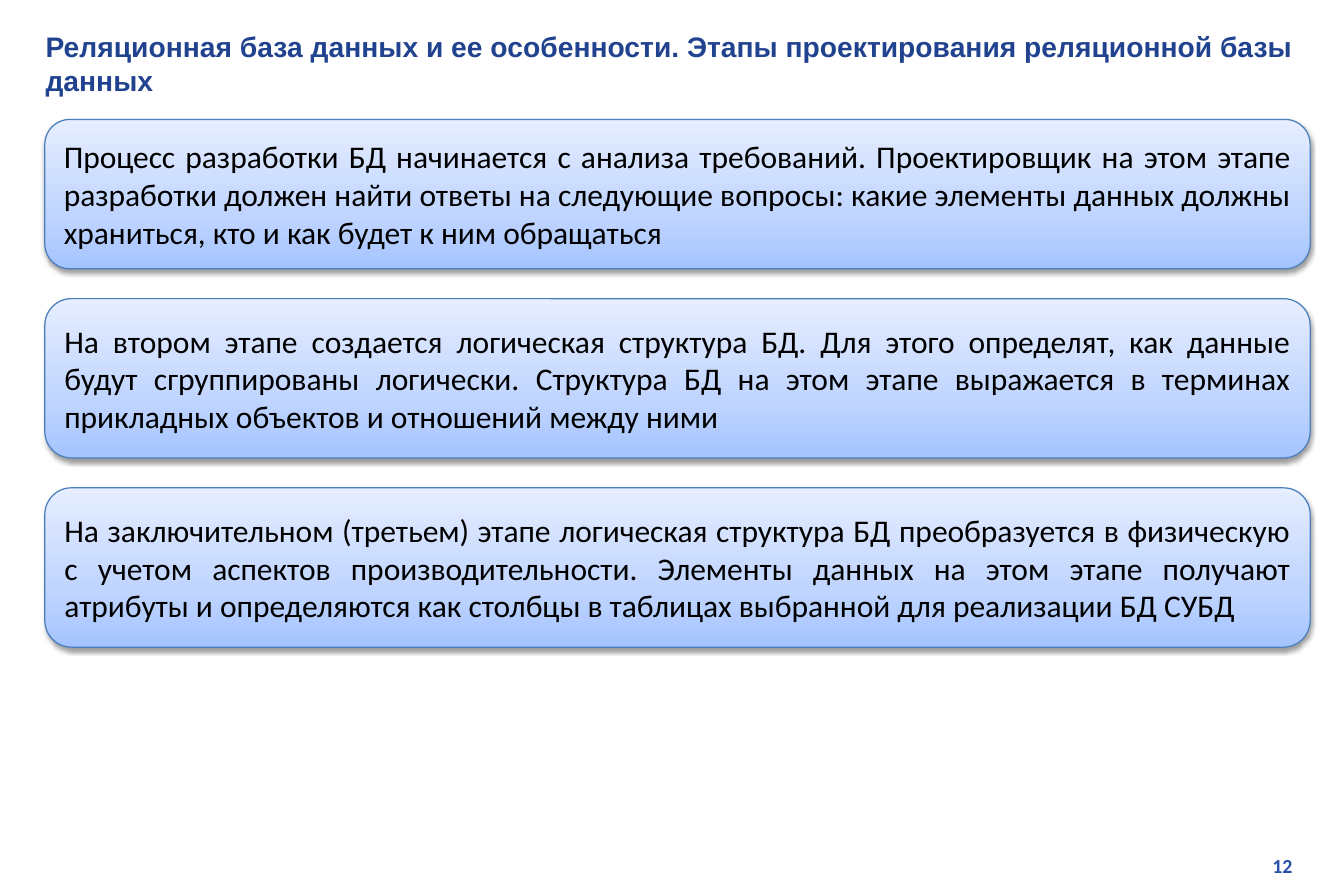
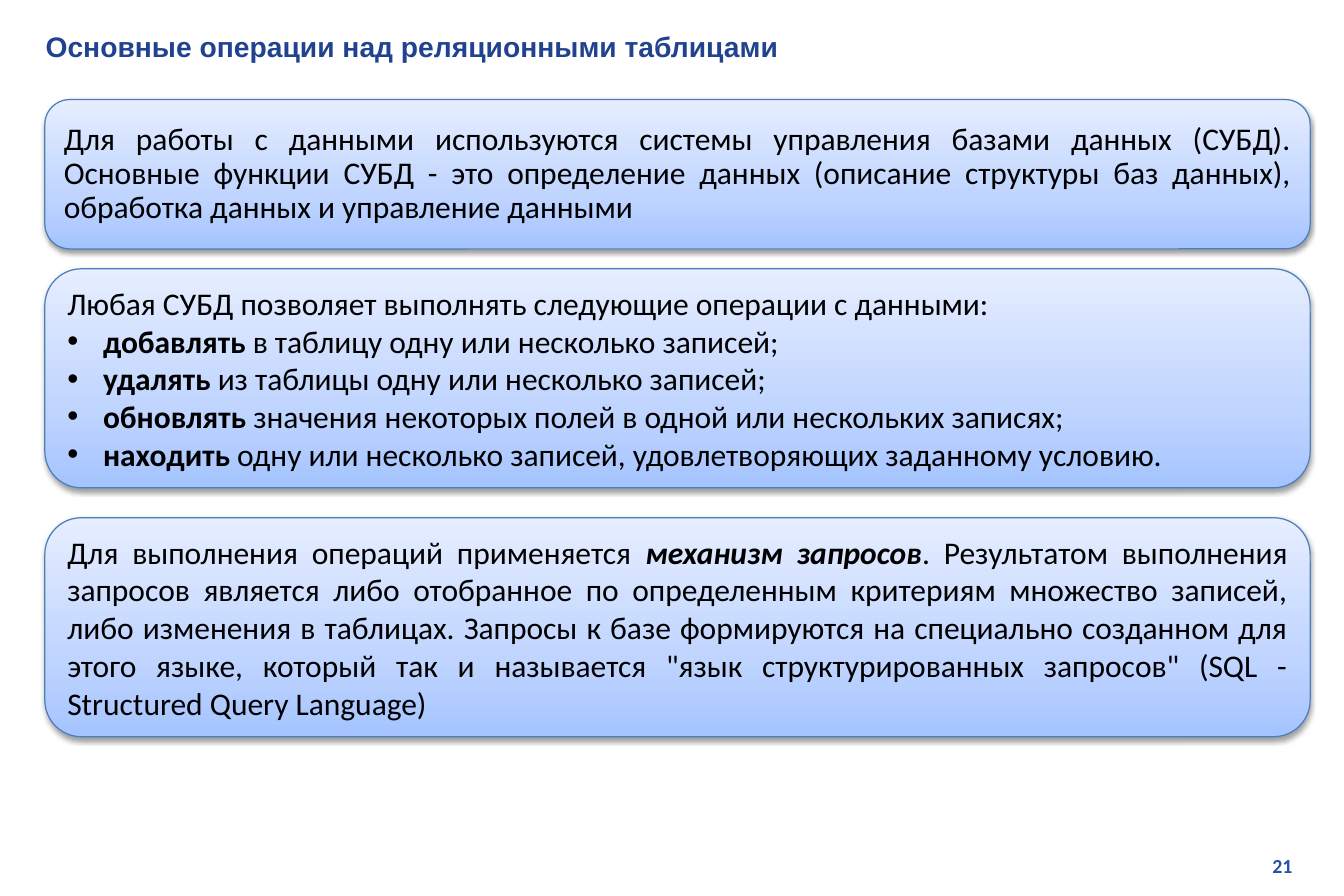
from pptx import Presentation
from pptx import util as u
from pptx.dml import color
from pptx.enum import shapes, text
from pptx.oxml import ns, xmlchemy
import copy

COLORS = {
    "title": "21438F",
    "number": "2750AB",
    "body": "000000",
    "outline": "4B7EBC",
    "shadow": "000000",
    "card_bottom": "A4C4FF",
    "card_middle": "BFD4FF",
    "card_top": "E6EEFF",
}
CARD_STOPS = [(0, "card_bottom"), (0.35, "card_middle"), (1, "card_top")]
JUSTIFY = text.PP_ALIGN.JUSTIFY
LEFT = text.PP_ALIGN.LEFT
RIGHT = text.PP_ALIGN.RIGHT


class Deck:
    SCALE = u.Inches(1) // 120
    CARD_LEFT, CARD_WIDTH = 45, 1271
    BULLET_INDENT = 36

    def __init__(self, width, height):
        self.presentation = Presentation()
        self.presentation.slide_width = self.px(width)
        self.presentation.slide_height = self.px(height)
        self.slide = None

    def px(self, length):
        return u.Emu(length * self.SCALE)

    def box(self, *lengths):
        return [self.px(length) for length in lengths]

    def rgb(self, name):
        return color.RGBColor.from_string(COLORS[name])

    def new_slide(self, title, number):
        layout = self.presentation.slide_layouts[6]
        self.slide = self.presentation.slides.add_slide(layout)
        self.label((1025, 852, 285, 36), number, "number", "Calibri", 12, RIGHT)
        self.label((34, 24, 1289, 48), title, "title", "Arial", 17, LEFT)

    def label(self, area, words, shade, face, size, alignment):
        frame = self.slide.shapes.add_textbox(*self.box(*area)).text_frame
        frame.word_wrap = True
        frame.text = words
        paragraph = frame.paragraphs[0]
        paragraph.alignment = alignment
        self.format_run(paragraph.runs[0], shade, face, size, bold=True)

    def format_run(self, run, shade, face, size, bold=False, italic=False):
        run.font.name = face
        run.font.size = u.Pt(size)
        run.font.bold = bold
        run.font.italic = italic
        run.font.color.rgb = self.rgb(shade)

    def card(self, top, height, paragraphs, alignment=JUSTIFY, spacing=None):
        shape = self.slide.shapes.add_shape(
            shapes.MSO_SHAPE.ROUNDED_RECTANGLE,
            *self.box(self.CARD_LEFT, top, self.CARD_WIDTH, height))
        self.gradient(shape)
        shape.line.color.rgb = self.rgb("outline")
        shape.line.width = u.Pt(0.75)
        self.shadow(shape)
        frame = shape.text_frame
        frame.word_wrap = True
        frame.vertical_anchor = text.MSO_ANCHOR.MIDDLE
        for index, pieces in enumerate(paragraphs):
            paragraph = frame.add_paragraph() if index else frame.paragraphs[0]
            paragraph.alignment = alignment
            if spacing:
                paragraph.line_spacing = spacing
            if index:
                self.bullet(paragraph)
            for words, *styles in pieces:
                run = paragraph.add_run()
                run.text = words
                self.format_run(run, "body", "Calibri", 19,
                                "bold" in styles, "italic" in styles)

    def gradient(self, shape):
        shape.fill.gradient()
        shape.fill.gradient_angle = 90
        stop_list = shape._element.spPr.find(".//" + ns.qn("a:gsLst"))
        stop_list.append(copy.deepcopy(stop_list[0]))
        for stop, (position, shade) in zip(shape.fill.gradient_stops, CARD_STOPS):
            stop.position = position
            stop.color.rgb = self.rgb(shade)

    def shadow(self, shape):
        shape.shadow.inherit = False
        effects = shape._element.spPr.find(ns.qn("a:effectLst"))
        outer = xmlchemy.OxmlElement("a:outerShdw")
        for name, value in (("blurRad", u.Pt(3.1)), ("dist", u.Pt(1.6)),
                            ("dir", 90 * 60000), ("rotWithShape", 0)):
            outer.set(name, str(int(value)))
        shade = xmlchemy.OxmlElement("a:srgbClr")
        shade.set("val", COLORS["shadow"])
        alpha = xmlchemy.OxmlElement("a:alpha")
        alpha.set("val", "38000")
        shade.append(alpha)
        outer.append(shade)
        effects.append(outer)

    def bullet(self, paragraph):
        properties = paragraph._p.get_or_add_pPr()
        indent = self.px(self.BULLET_INDENT)
        properties.set("marL", str(int(indent)))
        properties.set("indent", str(-int(indent)))
        for tag, name, value in (("a:buFont", "typeface", "Arial"),
                                 ("a:buChar", "char", "•")):
            element = xmlchemy.OxmlElement(tag)
            element.set(name, value)
            properties.append(element)


DESIGN_STAGES = [
    (120, 150, "Процесс разработки БД начинается с анализа требований. "
     "Проектировщик на этом этапе разработки должен найти ответы на следующие "
     "вопросы: какие элементы данных должны храниться, кто и как будет к ним "
     "обращаться"),
    (300, 160, "На втором этапе создается логическая структура БД. Для этого "
     "определят, как данные будут сгруппированы логически. Структура БД на этом "
     "этапе выражается в терминах прикладных объектов и отношений между ними"),
    (490, 160, "На заключительном (третьем) этапе логическая структура БД "
     "преобразуется в физическую с учетом аспектов производительности. Элементы "
     "данных на этом этапе получают атрибуты и определяются как столбцы в "
     "таблицах выбранной для реализации БД СУБД"),
]
DBMS_FUNCTIONS = (
    "Для работы с данными используются системы управления базами данных (СУБД). "
    "Основные функции СУБД - это определение данных (описание структуры баз "
    "данных), обработка данных и управление данными")
OPERATIONS = [
    ("добавлять", " в таблицу одну или несколько записей;"),
    ("удалять", " из таблицы одну или несколько записей;"),
    ("обновлять", " значения некоторых полей в одной или нескольких записях;"),
    ("находить", " одну или несколько записей, удовлетворяющих заданному условию."),
]
QUERIES = [
    ("Для выполнения операций применяется ",),
    ("механизм запросов", "bold", "italic"),
    (". Результатом выполнения запросов является либо отобранное по определенным "
     "критериям множество записей, либо изменения в таблицах. Запросы к базе "
     "формируются на специально созданном для этого языке, который так и "
     "называется \"язык структурированных запросов\" (SQL - Structured Query "
     "Language)",),
]


def main():
    deck = Deck(1350, 900)

    deck.new_slide("Реляционная база данных и ее особенности. "
                   "Этапы проектирования реляционной базы данных", "12")
    for top, height, words in DESIGN_STAGES:
        deck.card(top, height, [[(words,)]])

    deck.new_slide("Основные операции над реляционными таблицами", "21")
    deck.card(100, 150, [[(DBMS_FUNCTIONS,)]], spacing=0.9)
    heading = [("Любая СУБД позволяет выполнять следующие операции с данными:",)]
    bullets = [[(verb, "bold"), (rest,)] for verb, rest in OPERATIONS]
    deck.card(270, 220, [heading] + bullets, alignment=LEFT)
    deck.card(520, 220, [QUERIES])

    deck.presentation.save("out.pptx")


if __name__ == "__main__":
    main()
